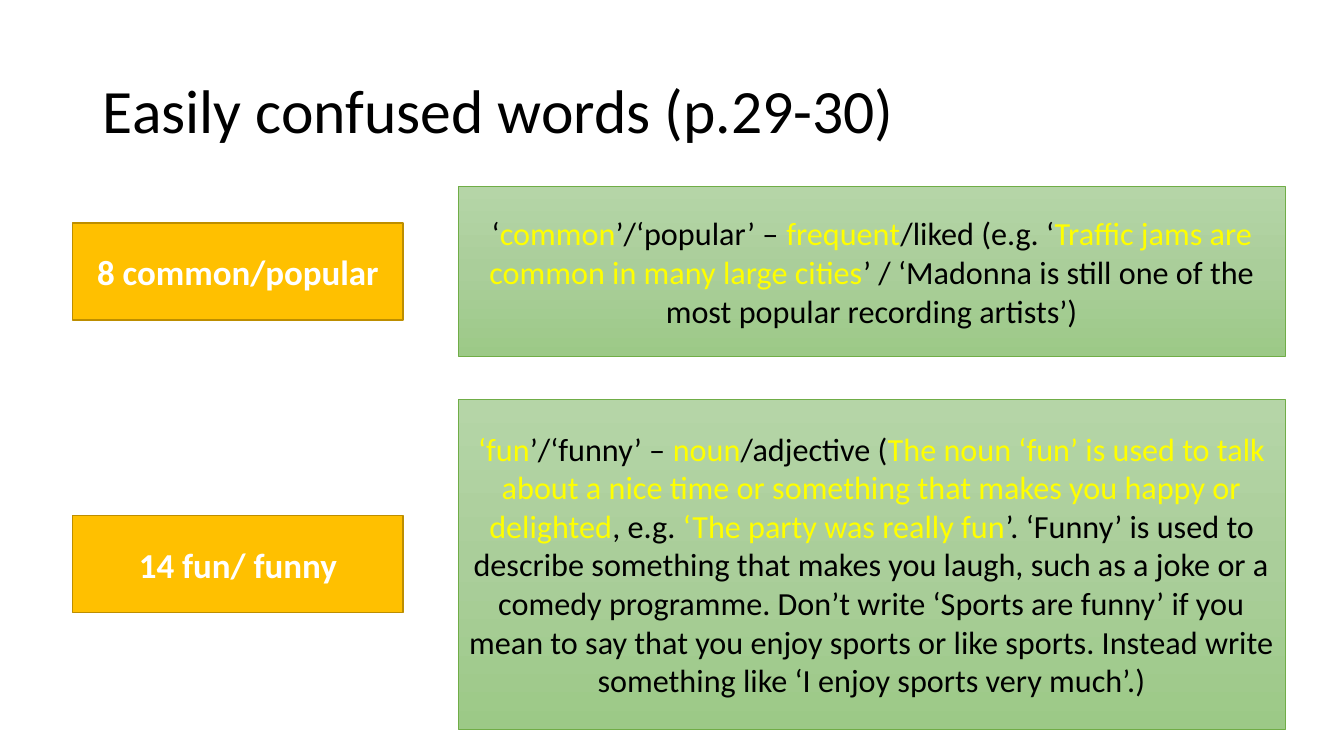
from copy import deepcopy
from dataclasses import dataclass

from pptx import Presentation
from pptx.dml.color import RGBColor
from pptx.enum.shapes import MSO_SHAPE
from pptx.enum.text import MSO_ANCHOR, MSO_AUTO_SIZE, PP_ALIGN
from pptx.oxml.ns import qn
from pptx.util import Cm, Pt

RECTANGLE = MSO_SHAPE.RECTANGLE
MIDDLE = MSO_ANCHOR.MIDDLE
NO_AUTOFIT = MSO_AUTO_SIZE.NONE
LEFT, CENTER = PP_ALIGN.LEFT, PP_ALIGN.CENTER
TITLE_ONLY = 5
HIGHLIGHT_MARK = "*"


@dataclass(frozen=True)
class Theme:
    font: str = "Calibri"
    text: str = "000000"
    highlight: str = "FFFF00"
    label_text: str = "FFFFFF"
    label_fill: str = "FFC000"
    label_line: str = "BD8E00"
    meaning_fill: tuple = ((0, "B5D5A7"), (0.5, "AACE9A"), (1, "9CC987"))
    meaning_line: str = "70AD47"
    title_size: int = 44
    label_size: int = 25
    meaning_size: int = 23


def write_text(frame, text, *, font, size, color, highlight=None,
               bold=False, align=CENTER, line_spacing=None):
    frame.word_wrap = True
    frame.auto_size = NO_AUTOFIT
    frame.vertical_anchor = MIDDLE
    paragraph = frame.paragraphs[0]
    paragraph.alignment = align
    if line_spacing:
        paragraph.line_spacing = line_spacing
    for index, part in enumerate(text.split(HIGHLIGHT_MARK)):
        if part:
            run = paragraph.add_run()
            run.text = part
            run.font.name = font
            run.font.size = Pt(size)
            run.font.bold = bold
            run.font.color.rgb = RGBColor.from_string(highlight if index % 2 else color)


def fill_gradient(shape, stops):
    shape.fill.gradient()
    shape.fill.gradient_angle = 270
    stop_list = shape.element.spPr.find(qn("a:gradFill")).find(qn("a:gsLst"))
    while len(stop_list) < len(stops):
        stop_list.append(deepcopy(stop_list[-1]))
    for stop, (position, color) in zip(shape.fill.gradient_stops, stops):
        stop.position = position
        stop.color.rgb = RGBColor.from_string(color)


class VocabularySlide:
    def __init__(self, presentation, theme):
        self.theme = theme
        self.slide = presentation.slides.add_slide(presentation.slide_layouts[TITLE_ONLY])

    def title(self, text):
        heading = self.slide.shapes.title
        heading.left, heading.top = Cm(2.34), Cm(1.02)
        heading.width, heading.height = Cm(29.21), Cm(3.68)
        write_text(heading.text_frame, text, font=self.theme.font,
                   size=self.theme.title_size, color=self.theme.text,
                   align=LEFT, line_spacing=0.9)

    def box(self, left, top, width, height, line, line_width):
        shape = self.slide.shapes.add_shape(
            RECTANGLE, Cm(left), Cm(top), Cm(width), Cm(height))
        shape.shadow.inherit = False
        shape.line.color.rgb = RGBColor.from_string(line)
        shape.line.width = Pt(line_width)
        return shape

    def meaning(self, text, top, height):
        theme = self.theme
        panel = self.box(11.56, top, 20.83, height, theme.meaning_line, 0.5)
        fill_gradient(panel, theme.meaning_fill)
        write_text(panel.text_frame, text, font=theme.font, size=theme.meaning_size,
                   color=theme.text, highlight=theme.highlight)

    def label(self, text, middle):
        theme = self.theme
        height = 2.44
        tag = self.box(1.83, middle - height / 2, 8.33, height, theme.label_line, 1)
        tag.fill.solid()
        tag.fill.fore_color.rgb = RGBColor.from_string(theme.label_fill)
        write_text(tag.text_frame, text, font=theme.font, size=theme.label_size,
                   color=theme.label_text, bold=True)


WORD_PAIRS = [
    ("8 common/popular", 4.7, 4.29,
     "‘*common*’/‘popular’ – *frequent*/liked (e.g. ‘*Traffic jams are common in many "
     "large cities*’ / ‘Madonna is still one of the most popular recording artists’)"),
    ("14 fun/ funny", 10.06, 8.31,
     "*‘fun*’/‘funny’ – *noun*/adjective (*The noun ‘fun’ is used to talk about a nice "
     "time or something that makes you happy or delighted*, e.g. *‘The party was really "
     "fun*’. ‘Funny’ is used to describe something that makes you laugh, such as a joke "
     "or a comedy programme. Don’t write ‘Sports are funny’ if you mean to say that you "
     "enjoy sports or like sports. Instead write something like ‘I enjoy sports very "
     "much’.)"),
]


def main():
    presentation = Presentation()
    presentation.slide_width, presentation.slide_height = Cm(33.87), Cm(19.05)
    page = VocabularySlide(presentation, Theme())
    page.title("Easily confused words (p.29-30)")
    for words, top, height, explanation in WORD_PAIRS:
        page.meaning(explanation, top, height)
        page.label(words, top + height / 2)
    presentation.save("out.pptx")


if __name__ == "__main__":
    main()
